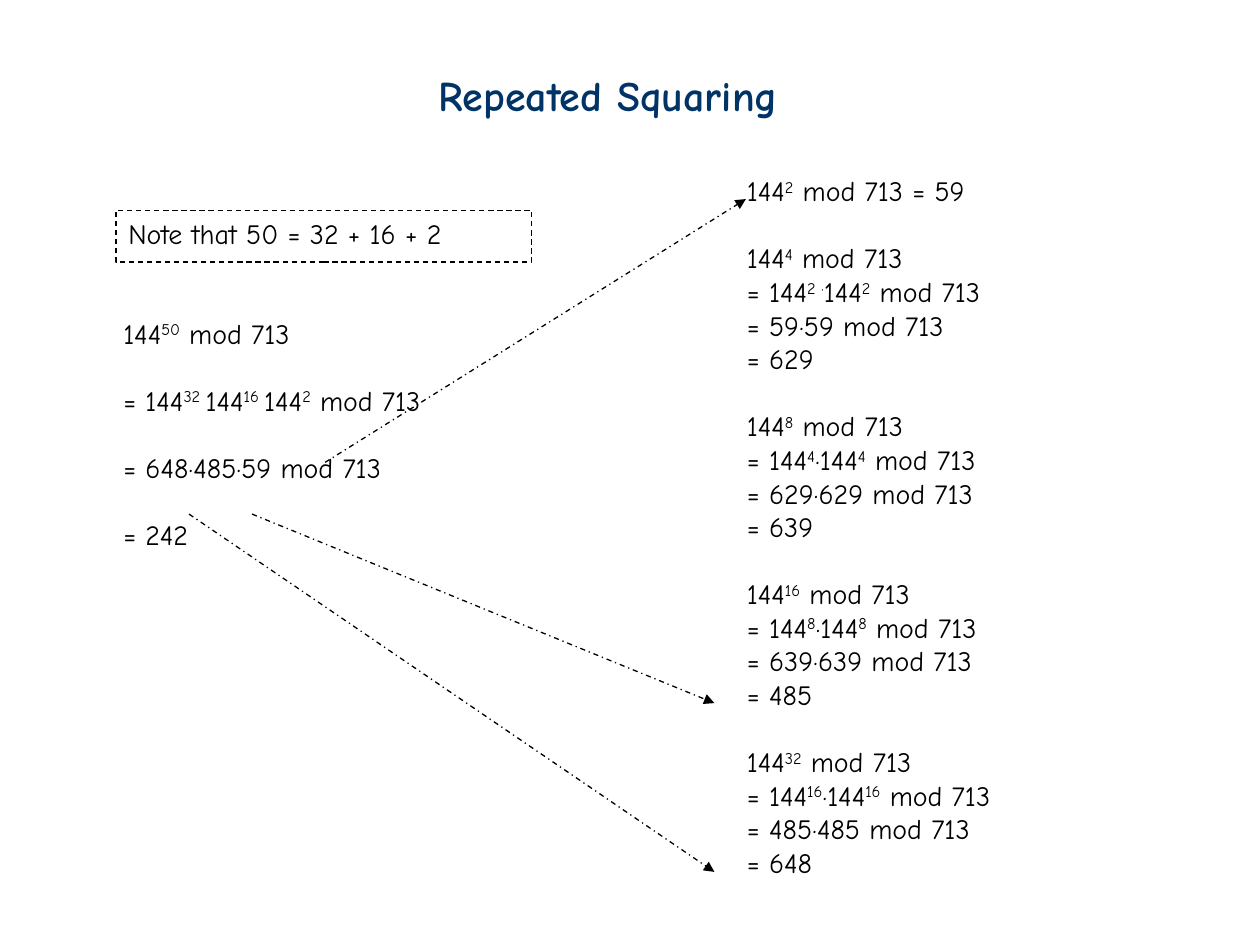
"""Build the Repeated Squaring slide, with superscripts written between carets."""
from lxml import etree
from pptx import Presentation
from pptx.dml.color import RGBColor
from pptx.enum.dml import MSO_LINE
from pptx.enum.shapes import MSO_CONNECTOR, MSO_SHAPE
from pptx.enum.text import MSO_ANCHOR, PP_ALIGN
from pptx.oxml.ns import qn
from pptx.util import Inches, Pt

STRAIGHT, RECTANGLE = MSO_CONNECTOR.STRAIGHT, MSO_SHAPE.RECTANGLE
DASH, DASH_DOT = MSO_LINE.DASH, MSO_LINE.DASH_DOT
TOP, LEFT = MSO_ANCHOR.TOP, PP_ALIGN.LEFT
NAVY, BLACK = RGBColor(0x00, 0x33, 0x66), RGBColor(0, 0, 0)
FONT, BODY_SIZE, TITLE_SIZE = "Comic Neue", 16, 24
GROUP_GAP = 1.2 * BODY_SIZE
WIDTH, HEIGHT = 10, 7.5

TITLE = [["Repeated Squaring"]]
NOTE = [["Note that 50 = 32 + 16 + 2"]]
EXPANSION = [
    ["144^50^ mod 713"],
    ["= 144^32 ^144^16 ^144^2^ mod 713"],
    ["= 648·485·59 mod 713"],
    ["= 242"],
]
SQUARES = [
    ["144^2^ mod 713 = 59"],
    ["144^4^ mod 713", "= 144^2 ·^144^2^ mod 713", "= 59·59 mod 713", "= 629"],
    ["144^8^ mod 713", "= 144^4^·144^4^ mod 713", "= 629·629 mod 713", "= 639"],
    ["144^16^ mod 713", "= 144^8^·144^8^ mod 713", "= 639·639 mod 713", "= 485"],
    ["144^32^ mod 713", "= 144^16^·144^16^ mod 713", "= 485·485 mod 713", "= 648"],
]
TITLE_BOX = (3.38, 0.5, 3.2, 0.5)
NOTE_BOX = (0.92, 1.67, 3.3, 0.41)
EXPANSION_BOX = (0.88, 2.46, 3.15, 2.2)
SQUARES_BOX = (5.83, 1.33, 2.7, 5.72)
ARROWS = [
    ((1.5, 4.08), (5.67, 6.92)),
    ((2, 4.08), (5.67, 5.58)),
    ((2.58, 3.67), (5.92, 1.58)),
]


def write_groups(shape, groups, size=BODY_SIZE, color=BLACK, bold=False):
    frame = shape.text_frame
    frame.word_wrap = True
    frame.vertical_anchor = TOP
    lines = [(line, index) for group in groups for index, line in enumerate(group)]
    frame.text = "\n".join(line.replace("^", "") for line, _ in lines)
    for number, (paragraph, (line, index)) in enumerate(zip(frame.paragraphs, lines)):
        paragraph.alignment = LEFT
        if number and index == 0:
            paragraph.space_before = Pt(GROUP_GAP)
        paragraph.clear()
        for position, part in enumerate(line.split("^")):
            run = paragraph.add_run()
            run.text = part
            run.font.name, run.font.size, run.font.bold = FONT, Pt(size), bold
            run.font.color.rgb = color
            if position % 2:
                run._r.get_or_add_rPr().set("baseline", "30000")


def style_line(line, dash):
    line.color.rgb = BLACK
    line.width = Pt(0.75)
    line.dash_style = dash


def add_text(slide, box, groups, **style):
    shape = slide.shapes.add_textbox(*map(Inches, box))
    write_groups(shape, groups, **style)


def add_note(slide):
    shape = slide.shapes.add_shape(RECTANGLE, *map(Inches, NOTE_BOX))
    shape.shadow.inherit = False
    shape.fill.background()
    style_line(shape.line, DASH)
    write_groups(shape, NOTE)


def add_arrow(slide, start, end):
    arrow = slide.shapes.add_connector(STRAIGHT, *map(Inches, start + end))
    style_line(arrow.line, DASH_DOT)
    properties = arrow._element.spPr
    etree.SubElement(properties.find(qn("a:ln")), qn("a:tailEnd"), type="triangle")
    etree.SubElement(properties, qn("a:effectLst"))


def main():
    presentation = Presentation()
    presentation.slide_width, presentation.slide_height = Inches(WIDTH), Inches(HEIGHT)
    slide = presentation.slides.add_slide(presentation.slide_layouts[6])
    add_text(slide, TITLE_BOX, TITLE, size=TITLE_SIZE, color=NAVY, bold=True)
    add_text(slide, EXPANSION_BOX, EXPANSION)
    add_text(slide, SQUARES_BOX, SQUARES)
    add_note(slide)
    for start, end in ARROWS:
        add_arrow(slide, start, end)
    presentation.save("out.pptx")


if __name__ == "__main__":
    main()
